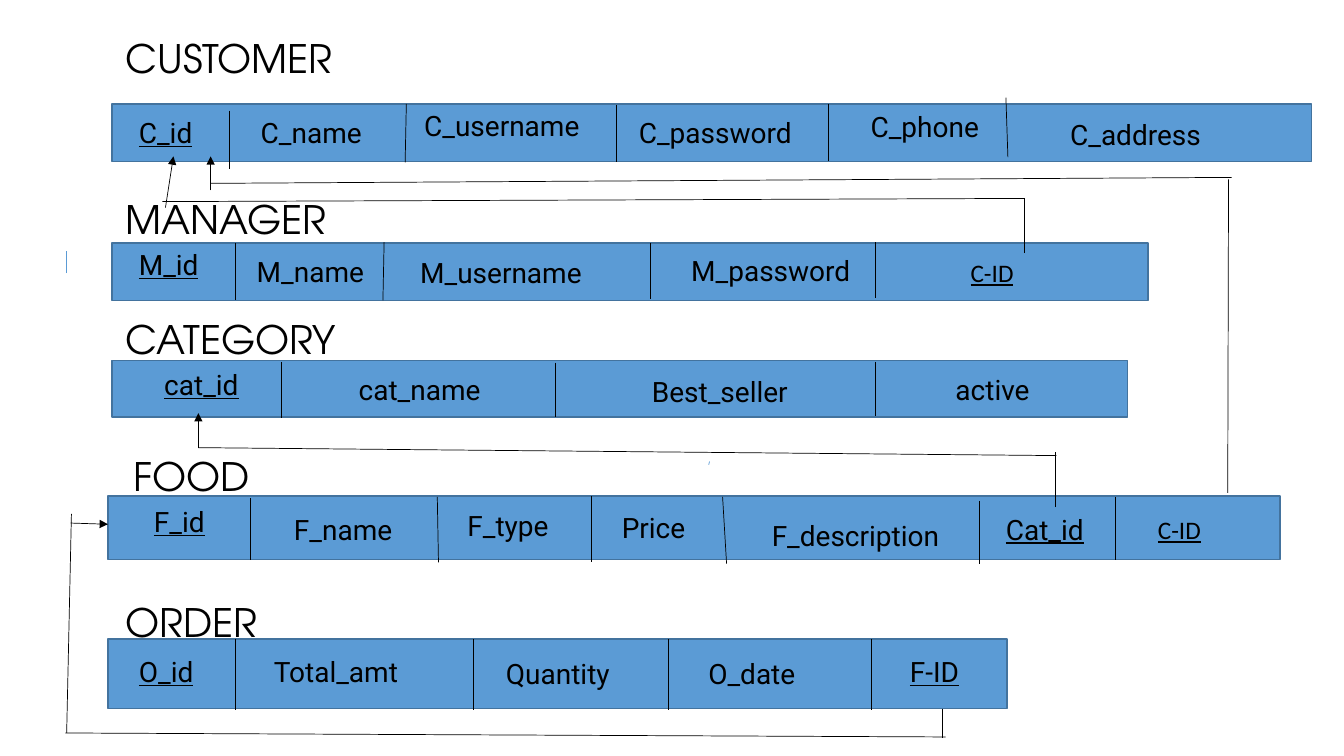
import pptx
import pptx.dml.color
import pptx.enum.shapes
import pptx.enum.text
import pptx.oxml.ns
import pptx.util
from lxml import etree

Cm = pptx.util.Cm
Pt = pptx.util.Pt
RGBColor = pptx.dml.color.RGBColor

BLACK = RGBColor(0x00, 0x00, 0x00)
BAR_BLUE = RGBColor(0x5B, 0x9B, 0xD5)
EDGE_BLUE = RGBColor(0x43, 0x73, 0x9E)

CUSTOMER_REFERENCE = "C-ID"

# Lengths are centimetres.
# title: left, top, width; bar: left, top, width, height
# dividers: x1, y1, x2, y2; fields: name, left, top, width
RELATIONS = [
    {
        "name": "CUSTOMER",
        "title": (2.92, 0.74, 6.5),
        "bar": (2.82, 2.62, 30.23, 1.45),
        "dividers": [
            (5.77, 2.79, 5.77, 4.27),
            (10.24, 2.62, 10.21, 4.09),
            (15.54, 2.64, 15.54, 4.09),
            (20.88, 2.62, 20.88, 4.06),
            (25.35, 2.46, 25.4, 3.96),
        ],
        "fields": [
            ("C_id", 3.25, 2.79, 2.24),
            ("C_name", 6.32, 2.79, 3.63),
            ("C_username", 10.44, 2.62, 5.08),
            ("C_password", 15.85, 2.79, 4.85),
            ("C_phone", 21.69, 2.64, 4.11),
            ("C_address", 26.72, 2.84, 4.17),
        ],
    },
    {
        "name": "MANAGER",
        "title": (2.92, 4.8, 5.87),
        "bar": (2.82, 6.12, 26.11, 1.45),
        "dividers": [
            (5.94, 6.12, 5.94, 7.57),
            (9.68, 6.1, 9.65, 7.57),
            (16.38, 6.12, 16.38, 7.54),
            (22.07, 6.1, 22.07, 7.52),
        ],
        "fields": [
            ("M_id", 3.25, 6.12, 2.24),
            ("M_name", 6.22, 6.3, 3.84),
            ("M_username", 10.34, 6.32, 5.13),
            ("M_password", 17.17, 6.27, 4.9),
            (CUSTOMER_REFERENCE, 24.21, 6.35, 1.6),
        ],
    },
    {
        "name": "CATEGORY",
        "title": (2.92, 7.82, 6.3),
        "bar": (2.82, 9.09, 25.6, 1.42),
        "dividers": [
            (7.09, 9.12, 7.09, 10.54),
            (14, 9.14, 14, 10.52),
            (22.07, 9.12, 22.07, 10.49),
        ],
        "fields": [
            ("cat_id", 3.89, 9.14, 2.84),
            ("cat_name", 8.79, 9.25, 4.17),
            ("Best_seller", 16.18, 9.3, 4.22),
            ("active", 23.83, 9.25, 2.87),
        ],
    },
    {
        "name": "FOOD",
        "title": (3.12, 11.28, 3.73),
        "bar": (2.72, 12.5, 29.54, 1.6),
        "dividers": [
            (6.32, 12.55, 6.32, 14.1),
            (11.02, 12.52, 11.05, 14.17),
            (14.91, 12.5, 14.91, 14.15),
            (18.21, 12.52, 18.31, 14.2),
            (24.69, 12.62, 24.69, 14.2),
            (28.12, 12.52, 28.12, 14.12),
        ],
        "fields": [
            ("F_id", 3.63, 12.6, 2.59),
            ("F_name", 7.16, 12.78, 3.63),
            ("F_type", 11.53, 12.7, 2.97),
            ("Price", 15.42, 12.75, 2.82),
            ("F_description", 19.2, 12.95, 5.49),
            ("Cat_id", 25.1, 12.78, 3.02),
            (CUSTOMER_REFERENCE, 28.93, 12.83, 1.6),
        ],
    },
    {
        "name": "ORDER",
        "title": (2.92, 14.94, 5.21),
        "bar": (2.72, 16.1, 22.66, 1.75),
        "dividers": [(x, 16.1, x, 17.88) for x in (5.94, 11.94, 16.84, 21.95)],
        "fields": [
            ("O_id", 3.25, 16.38, 2.24),
            ("Total_amt", 6.65, 16.38, 4.65),
            ("Quantity", 12.5, 16.43, 4.22),
            ("O_date", 17.6, 16.41, 3.1),
            ("F-ID", 22.68, 16.38, 2.41),
        ],
    },
]

# Each reference runs from a foreign key; its last segment carries the arrowhead.
REFERENCES = {
    "food to category": [
        (26.59, 12.78, 26.59, 11.4),
        (26.62, 11.48, 5, 11.28),
        (5, 11.28, 5, 10.41),
    ],
    "order to food": [
        (23.75, 17.86, 23.75, 18.59),
        (23.83, 18.57, 1.65, 18.47),
        (1.68, 18.47, 1.8, 12.95),
        (1.78, 13.18, 2.72, 13.21),
    ],
    "manager to customer": [
        (25.81, 6.38, 25.81, 5),
        (25.81, 5, 4.09, 5.08),
        (4.17, 5.23, 4.37, 3.94),
    ],
    "food to customer": [
        (30.94, 12.42, 30.96, 4.52),
        (31.04, 4.47, 5.31, 4.62),
        (5.31, 4.8, 5.31, 3.94),
    ],
}

BLUE_TICKS = [(17.88, 11.63, 17.86, 11.71), (1.68, 6.88, 1.68, 6.32)]


class SchemaPage:
    title_font = ("TeX Gyre Adventor", 28)
    field_font = ("Roboto", 20)
    reference_font = ("Calibri", 18)

    def __init__(self, deck):
        self.page = deck.slides.add_slide(deck.slide_layouts[6])

    def bar(self, left, top, width, height):
        box = self.page.shapes.add_shape(
            pptx.enum.shapes.MSO_SHAPE.RECTANGLE,
            Cm(left), Cm(top), Cm(width), Cm(height))
        box.shadow.inherit = False
        box.fill.solid()
        box.fill.fore_color.rgb = BAR_BLUE
        box.line.color.rgb = EDGE_BLUE
        box.line.width = Pt(1)

    def line(self, x1, y1, x2, y2, color=BLACK, arrow=False):
        connector = self.page.shapes.add_connector(
            pptx.enum.shapes.MSO_CONNECTOR.STRAIGHT, Cm(x1), Cm(y1), Cm(x2), Cm(y2))
        connector.line.color.rgb = color
        connector.line.width = Pt(0.5)
        qualified = pptx.oxml.ns.qn
        properties = connector._element.spPr
        if arrow:
            outline = properties.find(qualified("a:ln"))
            etree.SubElement(outline, qualified("a:tailEnd"), type="triangle")
        etree.SubElement(properties, qualified("a:effectLst"))

    def text(self, words, left, top, width, height, font, underline=False, wrap=True):
        box = self.page.shapes.add_textbox(Cm(left), Cm(top), Cm(width), Cm(height))
        box.text_frame.word_wrap = wrap
        box.text_frame.auto_size = pptx.enum.text.MSO_AUTO_SIZE.SHAPE_TO_FIT_TEXT
        para = box.text_frame.paragraphs[0]
        para.text = words
        name, size = font
        para.font.name = name
        para.font.size = Pt(size)
        para.font.color.rgb = BLACK
        if underline:
            para.font.underline = True

    def field(self, name, left, top, width):
        """Write a column name, underlined when it is a key."""
        if name == CUSTOMER_REFERENCE:
            self.text(name, left, top, width, 1.02, self.reference_font, True, wrap=False)
        else:
            is_key = name.lower().endswith("id")
            self.text(name, left, top, width, 1.12, self.field_font, is_key)

    def relation(self, name, title, bar, dividers, fields):
        self.bar(*bar)
        self.text(name, *title, 1.45, self.title_font)
        for divider in dividers:
            self.line(*divider)
        for field in fields:
            self.field(*field)

    def reference(self, segments):
        for segment in segments:
            self.line(*segment, arrow=segment is segments[-1])


def main():
    deck = pptx.Presentation()
    deck.slide_width = Cm(33.87)
    deck.slide_height = Cm(19.05)
    schema = SchemaPage(deck)
    for relation in RELATIONS:
        schema.relation(**relation)
    for segments in REFERENCES.values():
        schema.reference(segments)
    for tick in BLUE_TICKS:
        schema.line(*tick, color=BAR_BLUE)
    deck.save("out.pptx")


if __name__ == "__main__":
    main()
